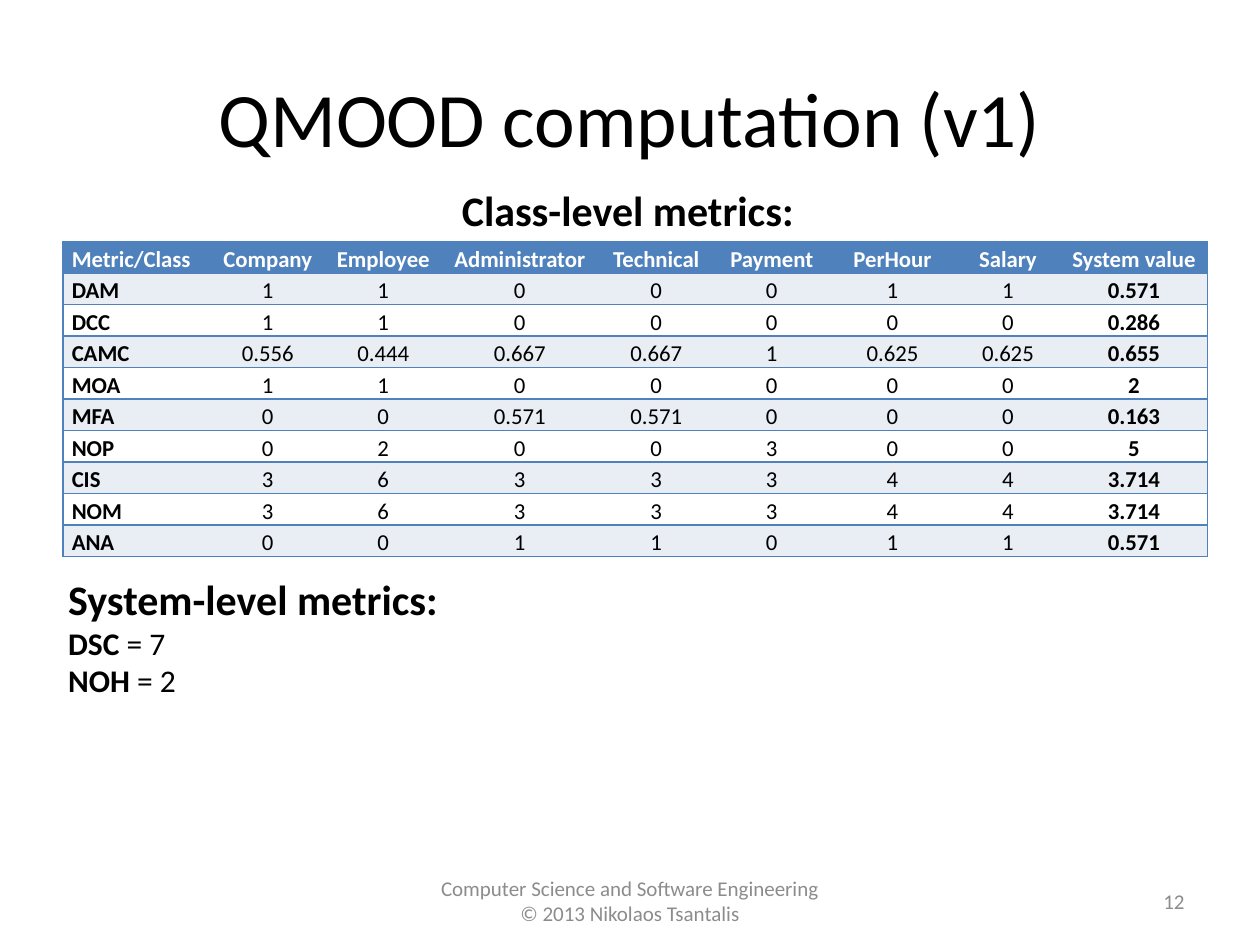
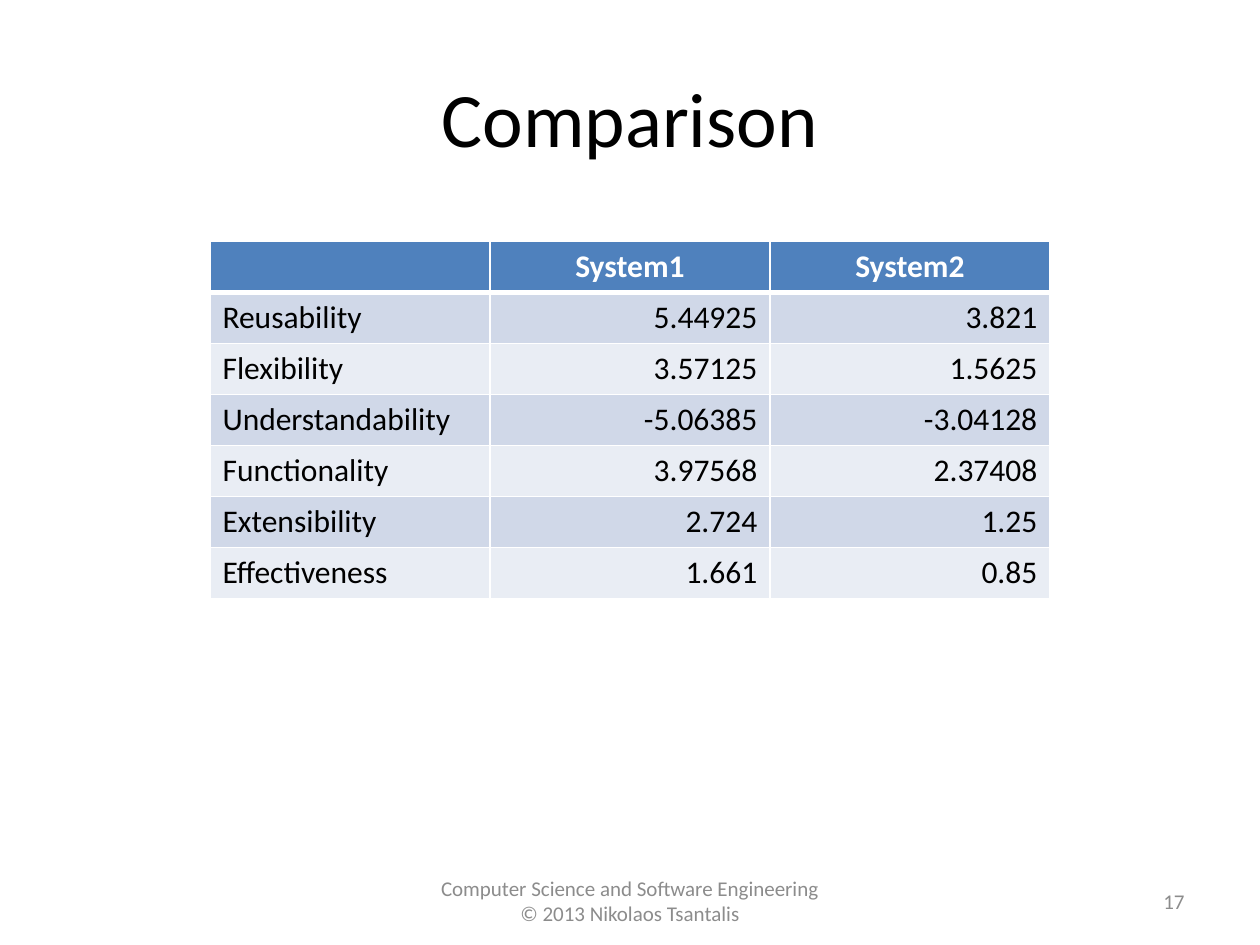
from dataclasses import dataclass

from lxml.etree import SubElement
from pptx import Presentation
from pptx.dml.color import RGBColor as RGB
from pptx.enum.text import MSO_ANCHOR as ANCHOR, PP_ALIGN as ALIGN
from pptx.oxml.ns import qn
from pptx.util import Inches, Pt


@dataclass(frozen=True)
class Theme:
    """Colours, font and type sizes shared by the slides."""
    font: str = "Calibri"
    ink: str = "000000"
    paper: str = "FFFFFF"
    muted: str = "8C8C8C"
    accent: str = "4F81BD"
    band: str = "D0D8E8"
    pale: str = "E9EDF4"
    title: int = 44
    heading: int = 24
    body: int = 18
    metric: int = 13
    small: int = 12


T = Theme()
SLIDE_W, SLIDE_H = Inches(10), Inches(7.5)
COL, ROW = SLIDE_W / 60, SLIDE_H / 90

TITLE_BOX = (3, 3.6, 54, 15)
FOOTER_BOX = (0, 83.4, 60, 4.8)
NUMBER_BOX = (43, 83.4, 14, 4.8)
CLASS_HEADING_BOX = (21.4, 17, 17.2, 6)
CLASS_TABLE_BOX = (3, 23, 54.5, 30)
SYSTEM_BOX = (2.65, 54, 19, 13.3)
COMPARISON_BOX = (10, 23, 40, 34)

FOOTER = ("Computer Science and Software Engineering", "© 2013 Nikolaos Tsantalis")

METRIC_COLS = (7, 5.5, 5.5, 7.5, 5.5, 5.5, 6, 5, 7)
METRICS = (
    ("Metric/Class", "Company", "Employee", "Administrator", "Technical",
     "Payment", "PerHour", "Salary", "System value"),
    ("DAM", 1, 1, 0, 0, 0, 1, 1, 0.571),
    ("DCC", 1, 1, 0, 0, 0, 0, 0, 0.286),
    ("CAMC", 0.556, 0.444, 0.667, 0.667, 1, 0.625, 0.625, 0.655),
    ("MOA", 1, 1, 0, 0, 0, 0, 0, 2),
    ("MFA", 0, 0, 0.571, 0.571, 0, 0, 0, 0.163),
    ("NOP", 0, 2, 0, 0, 3, 0, 0, 5),
    ("CIS", 3, 6, 3, 3, 3, 4, 4, 3.714),
    ("NOM", 3, 6, 3, 3, 3, 4, 4, 3.714),
    ("ANA", 0, 0, 1, 1, 0, 1, 1, 0.571),
)
QUALITIES = (
    ("", "System1", "System2"),
    ("Reusability", 5.44925, 3.821),
    ("Flexibility", 3.57125, 1.5625),
    ("Understandability", -5.06385, -3.04128),
    ("Functionality", 3.97568, 2.37408),
    ("Extensibility", 2.724, 1.25),
    ("Effectiveness", 1.661, 0.85),
)


def place(box):
    """Turn a box in grid columns and rows into slide lengths."""
    x, y, w, h = box
    return round(x * COL), round(y * ROW), round(w * COL), round(h * ROW)


def style(p, size, color=T.ink, align=ALIGN.LEFT, bold=False):
    """Set the font and alignment of a paragraph."""
    p.alignment = align
    p.font.name, p.font.size, p.font.bold = T.font, Pt(size), bold
    p.font.color.rgb = RGB.from_string(color)


def add_text(s, box, lines, size, color=T.ink, align=ALIGN.LEFT, bold=False,
             anchor=ANCHOR.MIDDLE, wrap=True):
    """Add a text box with one paragraph per line and return its frame."""
    tf = s.shapes.add_textbox(*place(box)).text_frame
    tf.word_wrap, tf.vertical_anchor = wrap, anchor
    for i, line in enumerate(lines):
        p = tf.paragraphs[0] if i == 0 else tf.add_paragraph()
        p.text = line
        style(p, size, color, align, bold)
    return tf


def set_borders(cell, **sides):
    """Draw the given sides (L, R, T, B) as (colour, points) and clear the rest."""
    tc_pr = cell._tc.get_or_add_tcPr()
    for i, side in enumerate("LRTB"):
        ln = SubElement(tc_pr, qn(f"a:ln{side}"))
        tc_pr.insert(i, ln)
        if side in sides:
            color, width = sides[side]
            ln.set("w", str(Pt(width)))
            SubElement(SubElement(ln, qn("a:solidFill")), qn("a:srgbClr")).set("val", color)
        else:
            SubElement(ln, qn("a:noFill"))


def add_table(s, box, rows, cols, paint):
    """Add a table with the given column shares, painting each cell."""
    x, y, w, h = place(box)
    table = s.shapes.add_table(len(rows), len(cols), x, y, w, h).table
    for column, share in zip(table.columns, cols):
        column.width = round(w * share / sum(cols))
    for i, values in enumerate(rows):
        table.rows[i].height = round(h / len(rows))
        for j, value in enumerate(values):
            cell = table.cell(i, j)
            cell.text = str(value)
            paint(cell, i, j)


def fill_cell(cell, color):
    """Give a cell a solid fill."""
    cell.fill.solid()
    cell.fill.fore_color.rgb = RGB.from_string(color)


def paint_metric(cell, i, j):
    """Style a cell of the class metrics table."""
    last = len(METRIC_COLS) - 1
    fill_cell(cell, T.accent if i == 0 else T.pale if i % 2 else T.paper)
    cell.margin_left = cell.margin_right = Inches(0.07)
    cell.margin_top = cell.margin_bottom = 0
    p = cell.text_frame.paragraphs[0]
    style(p, T.metric, T.ink if i else T.paper,
          ALIGN.CENTER if j else ALIGN.LEFT, i == 0 or j in (0, last))
    p.line_spacing = 1.15
    line = (T.accent, 1)
    edges = {0: {"L": line}, last: {"R": line}}.get(j, {})
    set_borders(cell, T=line, B=line, **edges)


def paint_quality(cell, i, j):
    """Style a cell of the comparison table."""
    fill_cell(cell, T.accent if i == 0 else T.band if i % 2 else T.pale)
    align = ALIGN.LEFT if j == 0 else ALIGN.RIGHT if i else ALIGN.CENTER
    style(cell.text_frame.paragraphs[0], T.body, T.ink if i else T.paper, align, i == 0)
    thin, thick = (T.paper, 1), (T.paper, 3)
    set_borders(cell, L=thin, R=thin, T=thick if i == 1 else thin,
                B=thin if i else thick)


def add_system_metrics(s, box):
    """Add the system-level heading with its two values."""
    tf = add_text(s, box, ["System-level metrics:"], T.heading, bold=True,
                  anchor=ANCHOR.TOP, wrap=False)
    for name, value in (("DSC", 7), ("NOH", 2)):
        p = tf.add_paragraph()
        style(p, T.body)
        r = p.add_run()
        r.text, r.font.bold = name, True
        p.add_run().text = f" = {value}"


def add_base(prs, title, number):
    """Add a blank slide with its title, footer and number."""
    s = prs.slides.add_slide(prs.slide_layouts[6])
    add_text(s, FOOTER_BOX, FOOTER, T.small, T.muted, ALIGN.CENTER)
    add_text(s, TITLE_BOX, [title], T.title, align=ALIGN.CENTER)
    add_text(s, NUMBER_BOX, [str(number)], T.small, T.muted, ALIGN.RIGHT)
    return s


def add_metrics_slide(prs):
    """Build the slide of class and system metrics."""
    s = add_base(prs, "QMOOD computation (v1)", 12)
    add_table(s, CLASS_TABLE_BOX, METRICS, METRIC_COLS, paint_metric)
    add_system_metrics(s, SYSTEM_BOX)
    add_text(s, CLASS_HEADING_BOX, ["Class-level metrics:"], T.heading, bold=True,
             anchor=ANCHOR.TOP, wrap=False)


def add_comparison_slide(prs):
    """Build the slide that compares the two systems."""
    s = add_base(prs, "Comparison", 17)
    add_table(s, COMPARISON_BOX, QUALITIES, (1, 1, 1), paint_quality)


def main():
    """Build and save the presentation."""
    prs = Presentation()
    prs.slide_width, prs.slide_height = SLIDE_W, SLIDE_H
    add_metrics_slide(prs)
    add_comparison_slide(prs)
    prs.save("out.pptx")


if __name__ == "__main__":
    main()
